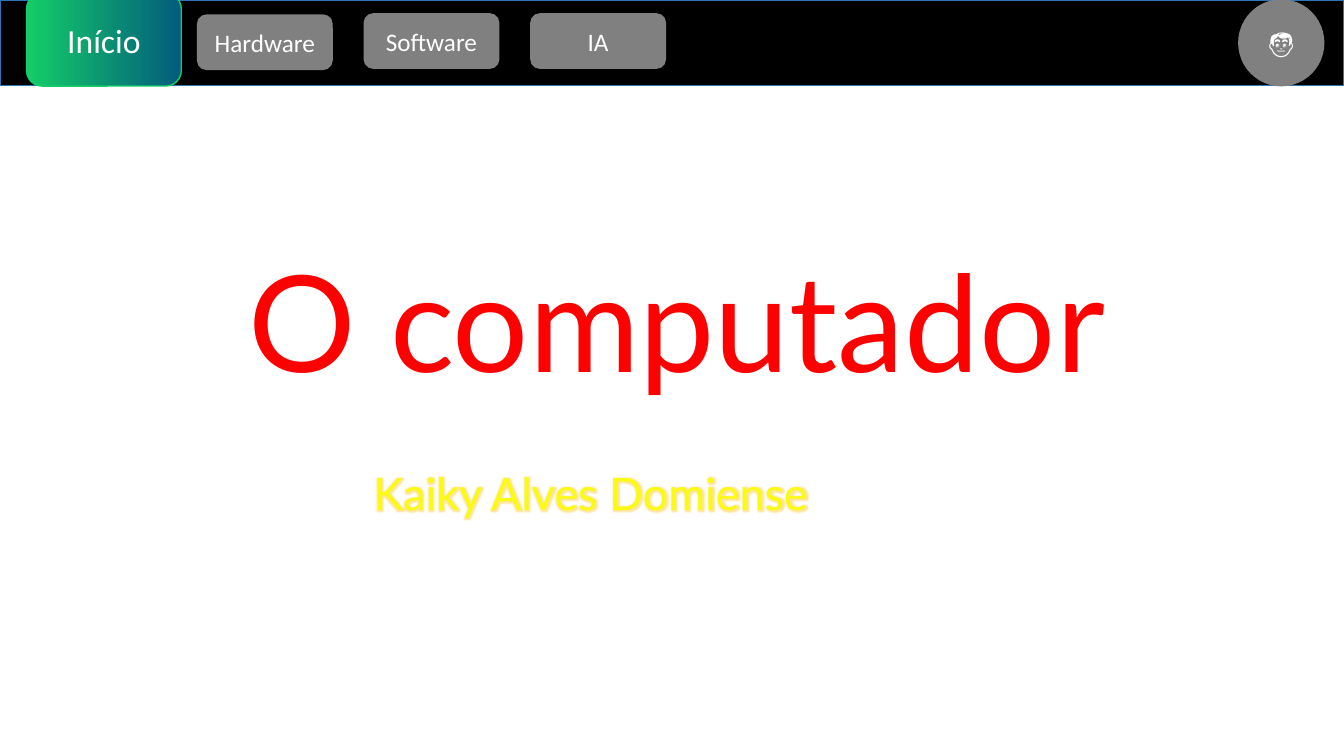
from dataclasses import dataclass

from lxml.etree import SubElement
from pptx import Presentation
from pptx.dml.color import RGBColor as RGB
from pptx.enum.shapes import MSO_SHAPE as SHAPE
from pptx.enum.text import MSO_ANCHOR as ANCHOR, MSO_AUTO_SIZE as FIT, PP_ALIGN as ALIGN
from pptx.oxml.ns import qn
from pptx.util import Cm, Pt

# Content
TITLE = "O computador"
AUTHOR = "Kaiky Alves Domiense"
HOME = "Início"
AVATAR = "👨"
TABS = [("Hardware", 0.38), ("Software", 0.35), ("IA", 0.35)]  # label, top in cm


@dataclass(frozen=True)
class Theme:
    head_font: str = "Lato"
    body_font: str = "Calibri"
    title: str = "FF0000"
    author: str = "FBFB11"
    glow: str = "FFC000"
    bar: str = "000000"
    bar_line: str = "2E75B6"
    grey: str = "808080"
    green: str = "14CD68"
    blue: str = "035C7D"
    light: str = "FFFFFF"
    title_size: int = 96
    author_size: int = 32
    home_size: int = 24
    tab_size: int = 18


T = Theme()

# Layout in cm
SLIDE_W, SLIDE_H = 33.87, 19.05
BAR_H = 2.16
TAB_X, TAB_PITCH, TAB_W, TAB_H = 4.98, 4.2, 3.39, 1.37


def rgb(code):
    return RGB.from_string(code)


def write(sp, text, font, size, color, align):
    tf = sp.text_frame
    tf.word_wrap = True
    tf.auto_size = FIT.NONE
    tf.vertical_anchor = ANCHOR.MIDDLE
    p = tf.paragraphs[0]
    p.text = text
    p.alignment = align
    p.line_spacing = 1.0
    p.font.name = font
    p.font.size = Pt(size)
    p.font.color.rgb = rgb(color)
    return p


def add_block(kind, box, fill, line, text=None, size=T.tab_size):
    sp = s.shapes.add_shape(kind, *map(Cm, box))
    sp.shadow.inherit = False
    if isinstance(fill, tuple):
        sp.fill.gradient()
        sp.fill.gradient_angle = 0
        for stop, code in zip(sp.fill.gradient_stops, fill):
            stop.color.rgb = rgb(code)
    else:
        sp.fill.solid()
        sp.fill.fore_color.rgb = rgb(fill)
    sp.line.color.rgb = rgb(line)
    sp.line.width = Pt(1)
    if text:
        write(sp, text, T.body_font, size, T.light, ALIGN.CENTER)


def add_glow(r, color, radius):
    effects = SubElement(r.font._element, qn("a:effectLst"))
    glow = SubElement(effects, qn("a:glow"), rad=str(Pt(radius)))
    clr = SubElement(glow, qn("a:srgbClr"), val=color)
    SubElement(clr, qn("a:alpha"), val="40000")


prs = Presentation()
prs.slide_width, prs.slide_height = Cm(SLIDE_W), Cm(SLIDE_H)
s = prs.slides.add_slide(prs.slide_layouts[5])

# Navigation bar
add_block(SHAPE.RECTANGLE, (0, 0, SLIDE_W, BAR_H), T.bar, T.bar_line)
add_block(SHAPE.ROUNDED_RECTANGLE, (0.67, -0.17, 3.9, 2.34),
          (T.green, T.blue), T.green, HOME, T.home_size)
for i, (label, top) in enumerate(TABS):
    add_block(SHAPE.ROUNDED_RECTANGLE, (TAB_X + i * TAB_PITCH, top, TAB_W, TAB_H),
              T.grey, T.grey, label)
add_block(SHAPE.OVAL, (31.22, 0, 2.14, BAR_H), T.grey, T.grey, AVATAR)

# Title
title = s.shapes.title
title.left, title.top, title.width, title.height = map(Cm, (6, 3.12, 23.62, 9.83))
write(title, TITLE, T.head_font, T.title_size, T.title, ALIGN.LEFT)

# Author with a soft glow
author = s.shapes.add_textbox(*map(Cm, (9.17, 10.57, 12.6, 3.7)))
p = write(author, AUTHOR, T.head_font, T.author_size, T.author, ALIGN.LEFT)
add_glow(p.runs[0], T.glow, 5)

prs.save("out.pptx")
